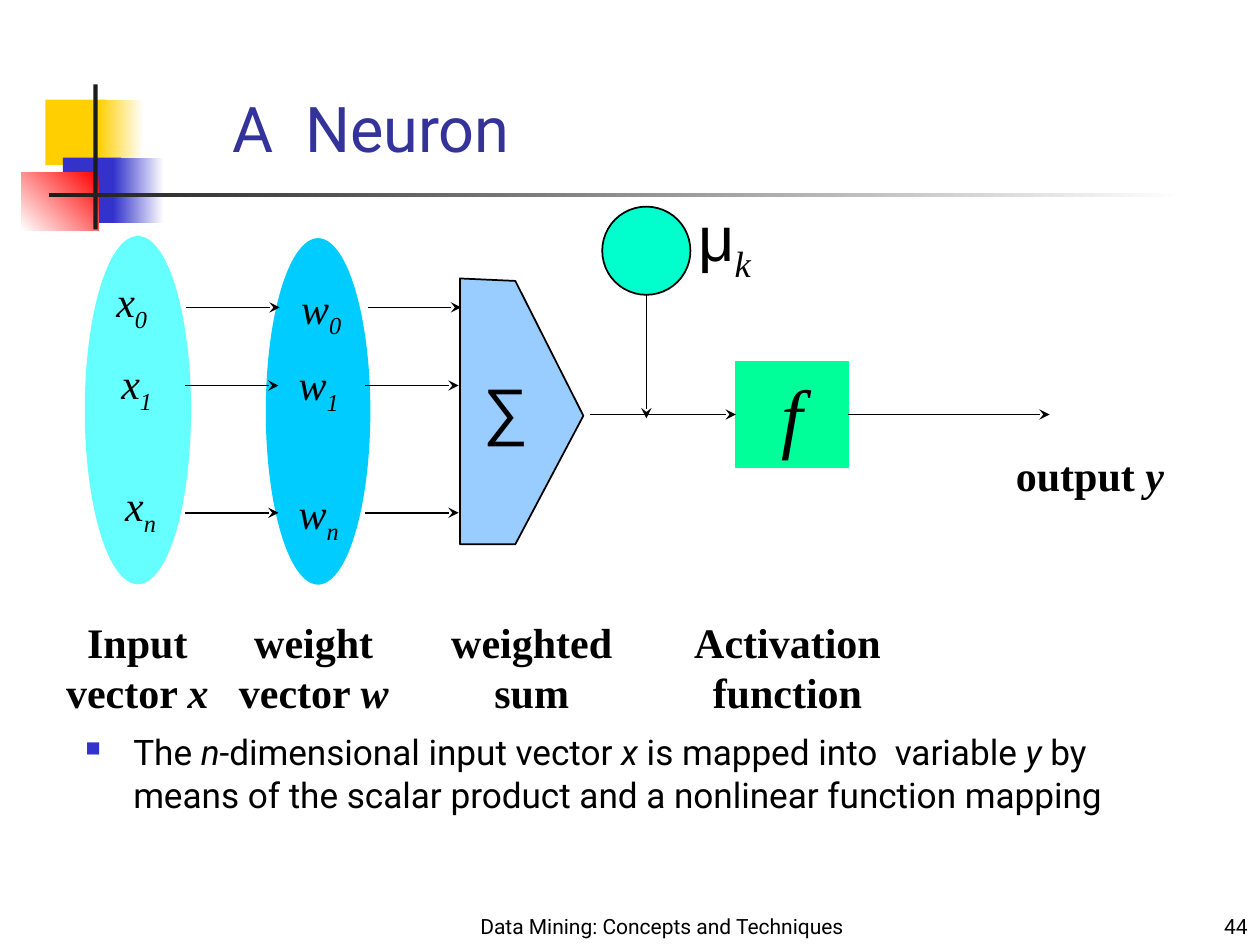
from dataclasses import dataclass
from typing import NamedTuple, Optional

from lxml.etree import SubElement
from pptx import Presentation
from pptx.dml.color import RGBColor as RGB
from pptx.enum.shapes import MSO_CONNECTOR as Link, MSO_SHAPE as Kind
from pptx.enum.text import MSO_ANCHOR as Anchor, PP_ALIGN as Align
from pptx.oxml.ns import qn
from pptx.util import Emu, Inches, Pt


@dataclass(frozen=True)
class Theme:
    sans: str = "Roboto"
    serif: str = "Times New Roman"
    sign: str = "Arial"
    black: str = "000000"
    white: str = "FFFFFF"
    title: str = "333399"
    blue: str = "3333CC"
    gold: str = "FFCF01"
    red: str = "FF0000"
    dark: str = "1C1C1C"
    input: str = "66FFFF"
    weight: str = "00CCFF"
    sum: str = "99CCFF"
    bias: str = "00FFCC"
    func: str = "00FF99"
    huge: float = 44
    big: float = 36
    label: float = 24
    body: float = 20.1
    small: float = 12


class Box(NamedTuple):
    col: float
    row: float
    wide: float
    tall: float


class Term(NamedTuple):
    text: str
    col: float
    row: float


class Row(NamedTuple):
    row: float
    x: Term
    w: Term
    left: float   # start of the arrow from input to weight
    mid: float    # start of the arrow from weight to sum


T = Theme()
deck = Presentation()
deck.slide_width, deck.slide_height = Inches(10), Inches(7.5)
slide = deck.slides.add_slide(deck.slide_layouts[6])
shapes = slide.shapes
COLS = 100  # square cells: 100 columns, 75 rows
CELL = deck.slide_width // COLS


def cells(*nums: float) -> list[Emu]:
    return [Emu(round(n * CELL)) for n in nums]


def paint(shape, fill: str, line: Optional[str] = None,
          fade: Optional[float] = None):
    """Fill a shape, or fade it to white at the given angle."""
    shape.shadow.inherit = False
    if fade is None:
        shape.fill.solid()
        shape.fill.fore_color.rgb = RGB.from_string(fill)
    else:
        shape.fill.gradient()
        shape.fill.gradient_angle = fade
        for stop, tone in zip(shape.fill.gradient_stops, (fill, T.white)):
            stop.color.rgb = RGB.from_string(tone)
    if line:
        shape.line.color.rgb = RGB.from_string(line)
        shape.line.width = Pt(1)
    else:
        shape.line.fill.background()
    return shape


def block(kind: Kind, box: Box, fill: str, **look):
    return paint(shapes.add_shape(kind, *cells(*box)), fill, **look)


def arrow(x1: float, y1: float, x2: float, y2: float):
    link = shapes.add_connector(Link.STRAIGHT, *cells(x1, y1, x2, y2))
    link.line.color.rgb = RGB.from_string(T.black)
    link.line.width = Pt(1)
    SubElement(link.line._get_or_add_ln(), qn("a:tailEnd"), type="stealth")
    SubElement(link._element.spPr, qn("a:effectLst"))
    return link


def write(frame, text: str, *, font: str = T.serif, size: float = T.label,
          color: str = T.black, bold: bool = False, align: Align = Align.CENTER,
          anchor: Anchor = Anchor.TOP, wrap: bool = False,
          bullet: Optional[str] = None) -> None:
    """Write lines; *...* is italic and _..._ is subscript."""
    frame.word_wrap, frame.vertical_anchor = wrap, anchor
    for n, line in enumerate(text.split("\n")):
        para = frame.add_paragraph() if n else frame.paragraphs[0]
        para.alignment = align
        if bullet:
            props = para._p.get_or_add_pPr()
            props.set("marL", str(Inches(0.38)))
            props.set("indent", str(-Inches(0.38)))
            tone = SubElement(props, qn("a:buClr"))
            SubElement(tone, qn("a:srgbClr"), val=T.blue)
            SubElement(props, qn("a:buSzPct"), val="60000")
            SubElement(props, qn("a:buChar"), char=bullet)
        for i, part in enumerate(line.split("*")):
            for j, bit in enumerate(part.split("_")):
                if not bit:
                    continue
                run = para.add_run()
                run.text = bit
                run.font.name = T.serif if j % 2 else font
                run.font.size, run.font.bold = Pt(size), bold
                run.font.italic = bool(i % 2)
                run.font.color.rgb = RGB.from_string(color)
                if j % 2:
                    run.font._element.set("baseline", "-25000")


def label(box: Box, text: str, **form) -> None:
    write(shapes.add_textbox(*cells(*box)).text_frame, text, **form)


# Corner ornament and title rule
for box, tone, fade in (
    (Box(3.6, 7.9, 4.8, 5.2), T.gold, None),
    (Box(7.8, 7.9, 3.6, 5.2), T.gold, 0),
    (Box(5, 12.5, 4.6, 5.2), T.blue, None),
    (Box(9, 12.5, 4, 5.2), T.blue, 0),
    (Box(1.7, 13.7, 6.1, 4.6), T.red, 225),
    (Box(7.4, 6.7, 0.35, 11.5), T.dark, None),
    (Box(3.9, 15.3, 90, 0.35), T.dark, 0),
):
    block(Kind.RECTANGLE, box, tone, fade=fade)

# Title and body
label(Box(17.5, 8.1, 59.3, 5.5), "A  Neuron", font=T.sans, size=T.big,
      color=T.title, align=Align.LEFT, anchor=Anchor.BOTTOM, wrap=True)
label(Box(5.8, 57.5, 88.3, 11.7),
      "The *n*-dimensional input vector *x* is mapped into  variable *y* by "
      "means of the scalar product and a nonlinear function mapping",
      font=T.sans, size=T.body, align=Align.LEFT, wrap=True, bullet="■")

# Input and weight vectors
block(Kind.OVAL, Box(21.1, 18.9, 8.3, 27.5), T.weight)
block(Kind.OVAL, Box(6.8, 18.8, 8.3, 27.5), T.input, line=T.input)

# Weighted sum
edge = [cells(*dot) for dot in
        ((36.5, 22.1), (36.5, 43.2), (40.9, 43.2), (46.3, 33), (40.9, 22.3))]
pen = shapes.build_freeform(*edge[0])
pen.add_line_segments(edge[1:], close=True)
paint(pen.convert_to_shape(), T.sum, line=T.black)
label(Box(37.4, 28.9, 5.5, 7), "∑", font=T.sign, size=T.big)

# Bias
block(Kind.OVAL, Box(47.8, 16.4, 7, 7), T.bias, line=T.black)
label(Box(54.4, 15.3, 6.2, 7.8), "μ*_k_*", font=T.sign, size=T.big)
arrow(51.3, 23.4, 51.3, 33.2)

# Activation function and output
func = block(Kind.RECTANGLE, Box(58.4, 28.7, 8.9, 8.4), T.func, line=T.func)
write(func.text_frame, "*f*", size=T.huge, wrap=True)
arrow(46.8, 32.9, 58.4, 32.9).end_connect(func, 1)
arrow(67.3, 32.9, 83.3, 32.9).begin_connect(func, 3)

# Vector terms with their arrows
STEP = 7.4
for r in (
    Row(24.4, Term("0", 8.2, 21.4), Term("0", 22.9, 21.9), 14.8, 29.2),
    Row(30.6, Term("1", 8.6, 27.9), Term("1", 22.7, 28), 14.7, 29),
    Row(40.7, Term("n", 8.9, 37.6), Term("n", 22.7, 38.2), 14.7, 29),
):
    for start in (r.left, r.mid):
        arrow(start, r.row, start + STEP, r.row)
    for name, term, wide in (("x", r.x, 4.5), ("w", r.w, 5.2)):
        label(Box(term.col, term.row, wide, 5.6), f"*{name}_{term.text}_*")

# Captions
for text, box in (
    ("Input\nvector *x*", Box(4.2, 48.4, 13.4, 9)),
    ("weight\nvector *w*", Box(17.9, 48.4, 14, 9)),
    ("weighted\nsum", Box(34.4, 48.4, 15.6, 9)),
    ("Activation\nfunction", Box(54.1, 48.4, 16.8, 9)),
    ("output *y*", Box(79.6, 35.2, 13.8, 5)),
):
    label(box, text, bold=True)

# Footer
for text, box, side in (
    ("Data Mining: Concepts and Techniques", Box(36.7, 70.8, 31.7, 4.2), Align.CENTER),
    ("44", Box(79.2, 70.8, 20.8, 4.2), Align.RIGHT),
):
    label(box, text, font=T.sans, size=T.small, align=side,
          anchor=Anchor.BOTTOM, wrap=True)

deck.save("out.pptx")
